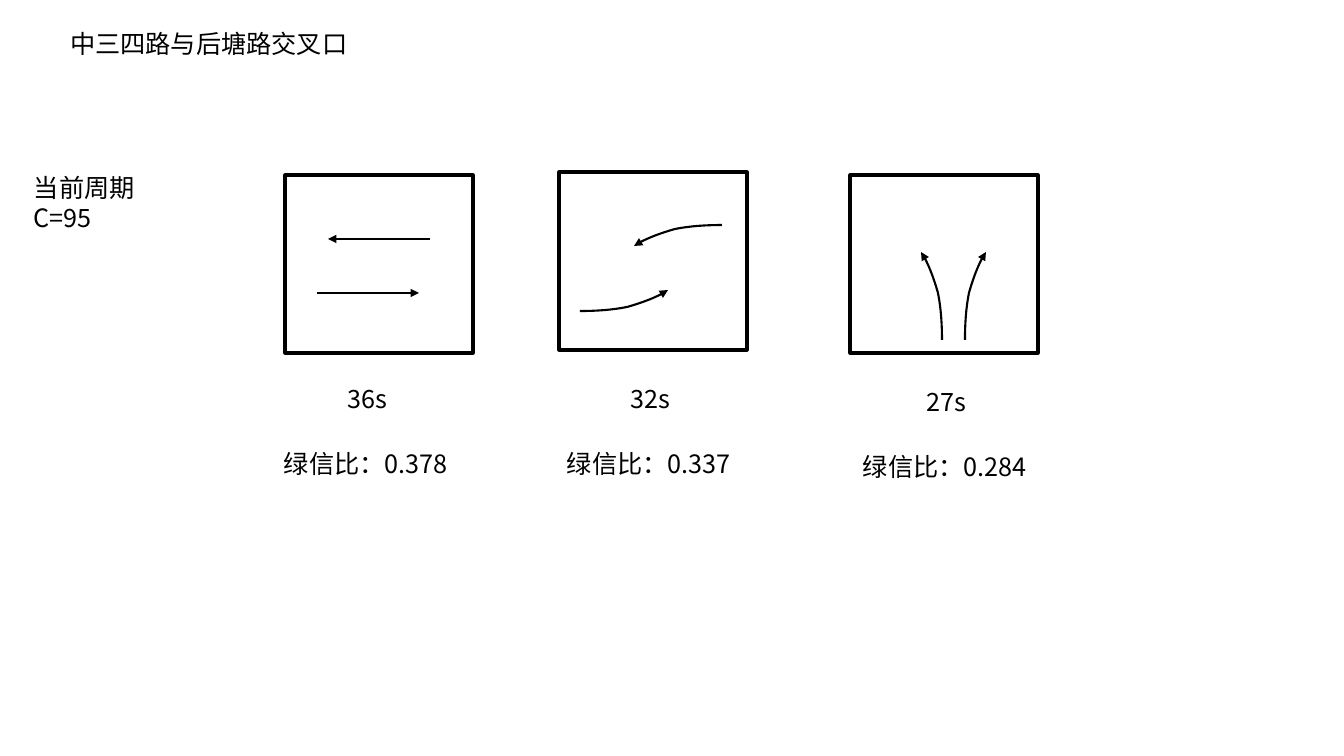
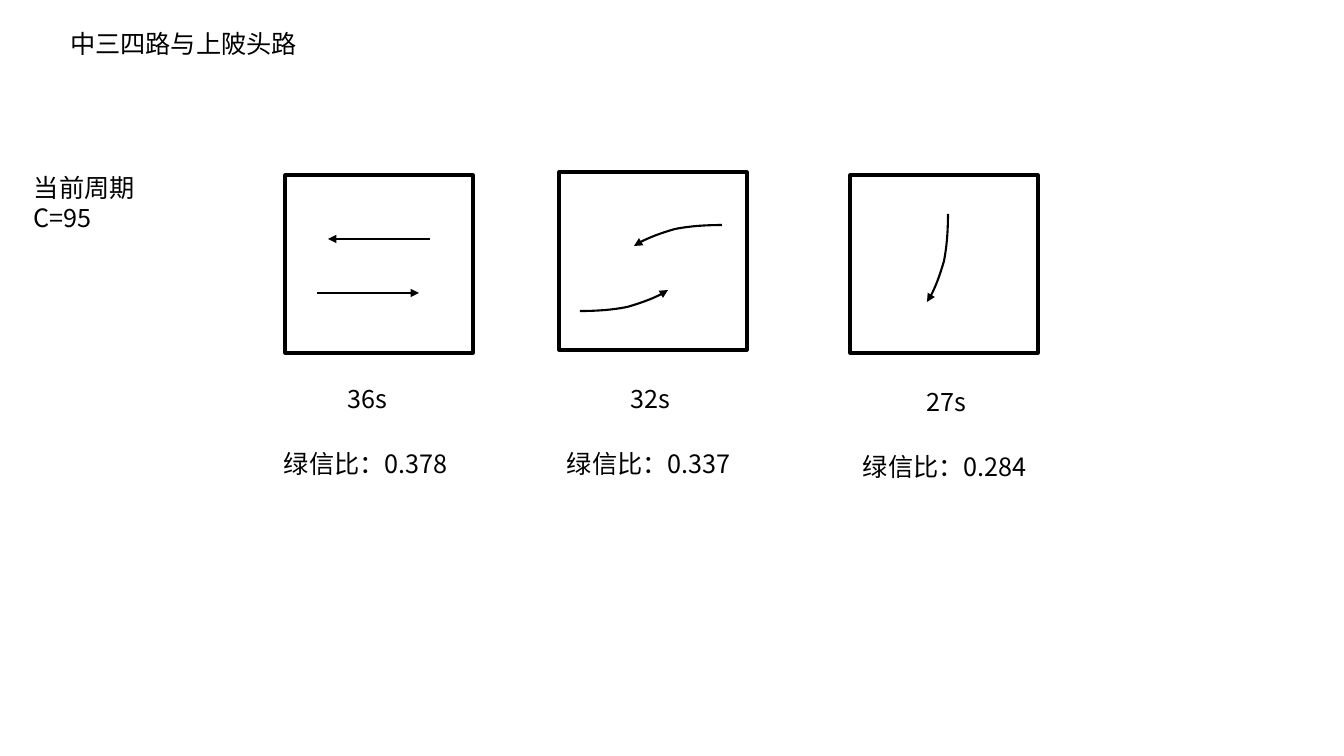
from dataclasses import dataclass
from typing import Any

from lxml import etree
from pptx import Presentation
from pptx.dml.color import RGBColor
from pptx.enum.shapes import MSO_CONNECTOR, MSO_SHAPE
from pptx.enum.text import MSO_ANCHOR, MSO_AUTO_SIZE, PP_ALIGN
from pptx.oxml.ns import qn
from pptx.util import Emu, Pt

RECT = MSO_SHAPE.RECTANGLE
STRAIGHT = MSO_CONNECTOR.STRAIGHT
LEFT, CENTER = PP_ALIGN.LEFT, PP_ALIGN.CENTER

SCALE = 914400 / 100.8
COLORS = {"ink": "000000", "paper": "FFFFFF"}
FONT = "Noto Sans CJK SC"
TYPE = {"name": FONT, "size": Pt(18), "bold": False}
TITLE_ONLY = 5
BEND = ((0, 0), (16, 0), (32, 1), (47, 4), (61, 8), (80, 15), (88, 21))


@dataclass(frozen=True)
class Box:
    x: int
    y: int
    w: int
    h: int


@dataclass(frozen=True)
class Phase:
    frame: Box
    time: Box
    secs: str
    ratio: str


@dataclass(frozen=True)
class Arrow:
    x: int
    y: int
    end: int


@dataclass(frozen=True)
class Turn:
    x: int
    y: int
    ahead: tuple[int, int]
    side: tuple[int, int]


@dataclass(frozen=True)
class Cross:
    title: str
    turns: tuple[Turn, ...]


EAST, WEST, NORTH, SOUTH = (1, 0), (-1, 0), (0, -1), (0, 1)

HEAD = Box(60, 23, 427, 40)
CYCLE = Box(24, 167, 130, 72)
PHASES = (
    Phase(Box(285, 175, 188, 178), Box(283, 378, 169, 40), "36s", "0.378"),
    Phase(Box(559, 172, 188, 178), Box(566, 378, 169, 40), "32s", "0.337"),
    Phase(Box(850, 175, 188, 178), Box(862, 381, 169, 40), "27s", "0.284"),
)
ARROWS = (Arrow(317, 293, 419), Arrow(430, 239, 328))
LEFTS = (Turn(580, 311, EAST, NORTH), Turn(722, 225, WEST, SOUTH))
CROSSES = (
    Cross("中三四路与后塘路交叉口",
          (Turn(965, 340, NORTH, EAST), Turn(942, 340, NORTH, WEST))),
    Cross("中三四路与上陂头路", (Turn(948, 214, SOUTH, WEST),)),
)


def px(n: float) -> Emu:
    return Emu(round(n * SCALE))


def ink(name: str) -> RGBColor:
    return RGBColor.from_string(COLORS[name])


def assign(item: Any, values: dict[str, Any]) -> None:
    for key, value in values.items():
        setattr(item, key, value)


def place(box: Box) -> dict[str, Emu]:
    return dict(left=px(box.x), top=px(box.y), width=px(box.w), height=px(box.h))


def write(shape: Any, text: str, align: Any = LEFT) -> None:
    frame = shape.text_frame
    assign(frame, {
        "text": text, "word_wrap": True, "auto_size": MSO_AUTO_SIZE.NONE,
        "vertical_anchor": MSO_ANCHOR.TOP,
        "margin_left": Pt(7.2), "margin_right": Pt(7.2),
        "margin_top": Pt(3.6), "margin_bottom": Pt(3.6),
    })
    for para in frame.paragraphs:
        para.alignment = align
        for run in para.runs:
            assign(run.font, TYPE)
            run.font.color.rgb = ink("ink")
            east = etree.SubElement(run.font._element, qn("a:ea"))
            east.set("typeface", FONT)


def label(slide: Any, box: Box, text: str, align: Any = LEFT) -> None:
    write(slide.shapes.add_textbox(**place(box)), text, align)


def stroke(shape: Any, width: float) -> None:
    shape.line.width = Pt(width)
    shape.line.color.rgb = ink("ink")


def point(shape: Any) -> None:
    line = shape.element.spPr.find(qn("a:ln"))
    etree.SubElement(line, qn("a:tailEnd")).set("type", "triangle")


def frame(slide: Any, box: Box) -> None:
    shape = slide.shapes.add_shape(RECT, **place(box))
    shape.shadow.inherit = False
    shape.fill.background()
    stroke(shape, 2.25)


def arrow(slide: Any, item: Arrow) -> None:
    y = px(item.y)
    line = slide.shapes.add_connector(STRAIGHT, px(item.x), y, px(item.end), y)
    stroke(line, 1.5)
    point(line)
    etree.SubElement(line.element.spPr, qn("a:effectLst"))


def curve(shape: Any) -> None:
    lines = list(shape.element.iter(qn("a:lnTo")))
    for i in range(0, len(lines), 3):
        bend = etree.Element(qn("a:cubicBezTo"))
        lines[i].addprevious(bend)
        for line in lines[i:i + 3]:
            bend.append(line[0])
            line.getparent().remove(line)


def turn(slide: Any, item: Turn) -> None:
    (ax, ay), (sx, sy) = item.ahead, item.side
    spots = [(item.x + a * ax + s * sx, item.y + a * ay + s * sy)
             for a, s in BEND]
    pen = slide.shapes.build_freeform(*spots[0], scale=SCALE)
    pen.add_line_segments(spots[1:], close=False)
    shape = pen.convert_to_shape()
    curve(shape)
    shape.shadow.inherit = False
    shape.fill.background()
    stroke(shape, 1.5)
    point(shape)


def draw(deck: Any, cross: Cross) -> None:
    slide = deck.slides.add_slide(deck.slide_layouts[TITLE_ONLY])
    fill = slide.background.fill
    fill.solid()
    fill.fore_color.rgb = ink("paper")
    title = slide.shapes.title
    assign(title, place(HEAD))
    write(title, cross.title)
    label(slide, CYCLE, "当前周期\nC=95")
    for phase in PHASES:
        time = phase.time
        frame(slide, phase.frame)
        label(slide, time, phase.secs, CENTER)
        label(slide, Box(time.x - 9, time.y + 65, 188, 40),
              f"绿信比：{phase.ratio}")
    for item in ARROWS:
        arrow(slide, item)
    for item in LEFTS + cross.turns:
        turn(slide, item)


def main() -> None:
    deck = Presentation()
    assign(deck, {"slide_width": px(1344), "slide_height": px(756)})
    for cross in CROSSES:
        draw(deck, cross)
    deck.save("out.pptx")


main()
